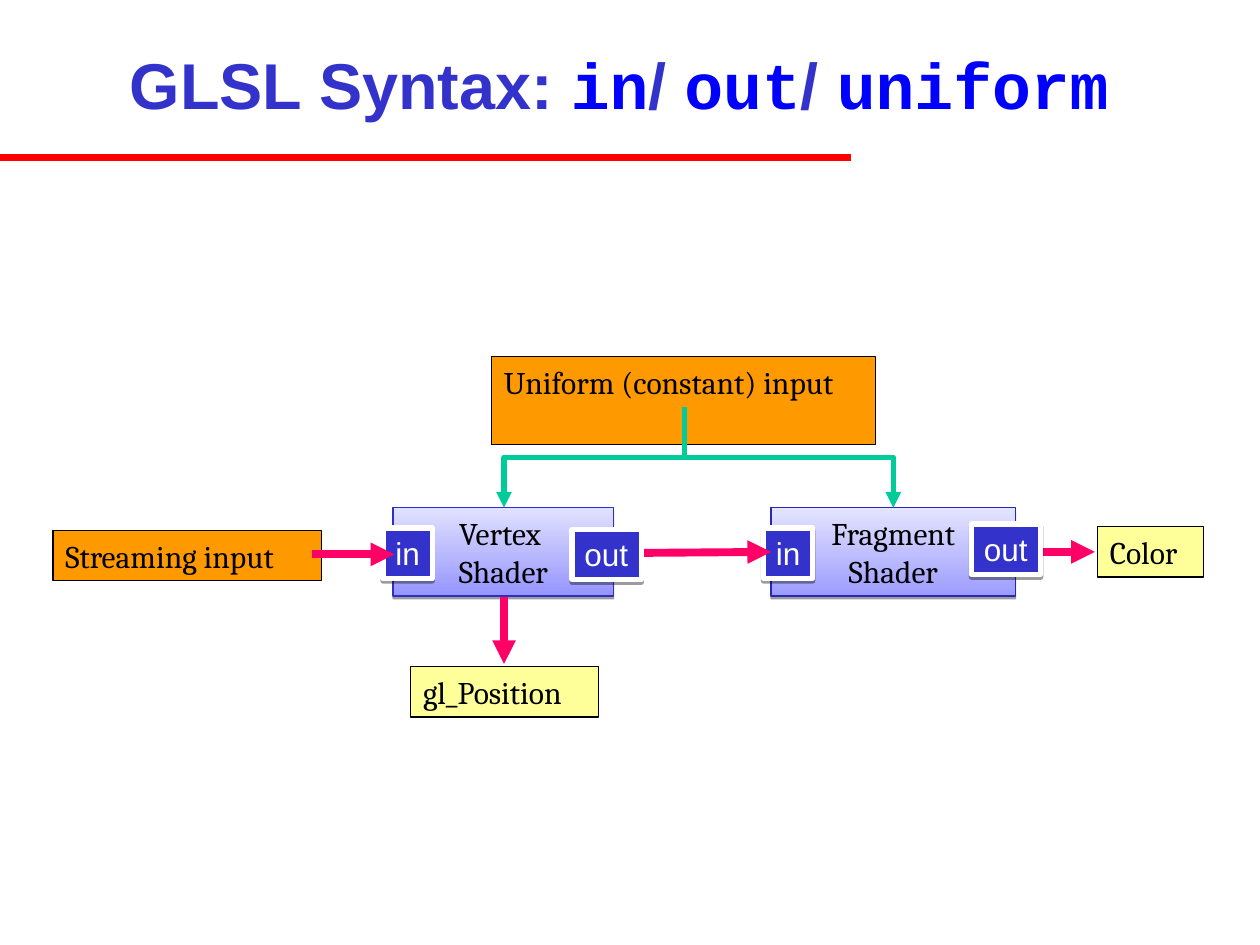
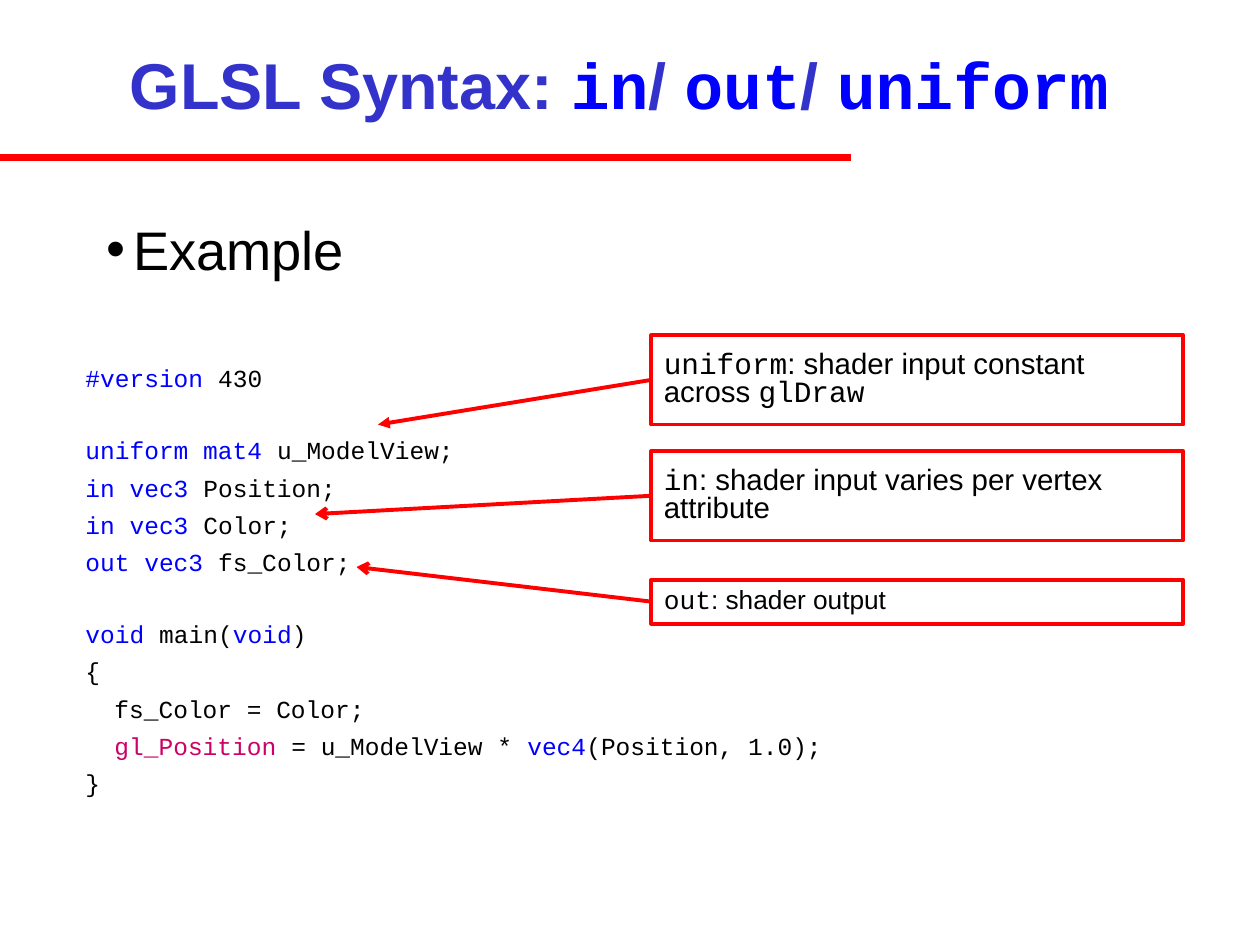
from typing import NamedTuple

from lxml.etree import SubElement
from pptx import Presentation
from pptx.dml.color import RGBColor
from pptx.enum.shapes import MSO_CONNECTOR, MSO_SHAPE
from pptx.enum.text import MSO_ANCHOR, PP_ALIGN
from pptx.oxml.ns import qn
from pptx.util import Inches, Pt

BLACK = RGBColor(0x00, 0x00, 0x00)
WHITE = RGBColor(0xFF, 0xFF, 0xFF)
RED = RGBColor(0xFF, 0x00, 0x00)
BLUE = RGBColor(0x00, 0x00, 0xFF)
INDIGO = RGBColor(0x33, 0x33, 0xCC)
ORANGE = RGBColor(0xFF, 0x99, 0x00)
YELLOW = RGBColor(0xFF, 0xFF, 0x99)
PINK = RGBColor(0xFF, 0x00, 0x66)
MAGENTA = RGBColor(0xCC, 0x00, 0x66)
GREEN = RGBColor(0x00, 0xCC, 0x99)

SANS = "Arial"
SERIF = "Cambria"
MONO = "Courier New"

CODE_SIZE = 14
CODE_GAP = 4.4
CODE_BLANK_LINE = 20.3


class Span(NamedTuple):
    text: str
    font: str = MONO
    color: RGBColor = BLACK


class Place(NamedTuple):
    left: float
    top: float
    width: float
    height: float


class Label(NamedTuple):
    text: str
    place: Place
    fill: RGBColor


class Stage(NamedTuple):
    lines: tuple
    place: Place
    bottom: RGBColor
    top: RGBColor
    edge: RGBColor


class Arrow(NamedTuple):
    start: tuple
    end: tuple
    color: RGBColor
    weight: float
    head: str = "triangle"


class CodeLine(NamedTuple):
    spans: tuple
    after_blank: bool = False
    indent: float = 0


class Callout(NamedTuple):
    spans: tuple
    top: float
    height: float
    size: float
    target: tuple
    head: str


TITLE = (
    Span("GLSL Syntax: ", SANS, INDIGO), Span("in", MONO, BLUE),
    Span("/ ", SANS, INDIGO), Span("out", MONO, BLUE),
    Span("/ ", SANS, INDIGO), Span("uniform", MONO, BLUE),
)

STAGES = (
    Stage(("Vertex ", "Shader"), Place(3.12, 4.03, 1.75, 0.7),
          RGBColor(0x95, 0x95, 0xFF), RGBColor(0xE1, 0xE1, 0xFF), RGBColor(0x2E, 0x2E, 0xCB)),
    Stage(("Fragment", "Shader"), Place(6.12, 4.03, 1.94, 0.7),
          RGBColor(0x9C, 0x9C, 0xFF), RGBColor(0xE4, 0xE4, 0xFF), RGBColor(0x28, 0x28, 0xB8)),
)

DATA_LABELS = (
    Label("Streaming input", Place(0.42, 4.21, 2.13, 0.4), ORANGE),
    Label("Color", Place(8.71, 4.18, 0.84, 0.4), YELLOW),
    Label("Uniform (constant) input", Place(3.9, 2.83, 3.05, 0.7), ORANGE),
    Label("gl_Position", Place(3.26, 5.29, 1.49, 0.4), YELLOW),
)

IN_PORTS = tuple(Label("in", Place(left, 4.19, 0.39, 0.4), INDIGO) for left in (3.04, 6.06))
OUT_PORTS = tuple(
    Label("out", Place(left, top, 0.55, 0.4), INDIGO) for left, top in ((4.54, 4.2), (7.71, 4.16))
)

FLOWS = tuple(
    Arrow(start, end, PINK, 4.5)
    for start, end in (
        ((2.48, 4.4), (3.13, 4.4)),
        ((4.87, 4.39), (6.12, 4.38)),
        ((8.04, 4.38), (8.69, 4.38)),
        ((4, 4.74), (4, 5.27)),
    )
)
UNIFORM_FLOWS = tuple(Arrow((5.43, 3.23), (x, 4.03), GREEN, 3) for x in (4, 7.09))


def keyword(text: str) -> Span:
    return Span(text, MONO, BLUE)


CODE = (
    CodeLine((keyword("#version"), Span(" 430"))),
    CodeLine((keyword("uniform mat4"), Span(" u_ModelView;")), after_blank=True),
    CodeLine((keyword("in vec3"), Span(" Position;"))),
    CodeLine((keyword("in vec3"), Span(" Color;"))),
    CodeLine((keyword("out vec3"), Span(" fs_Color;"))),
    CodeLine((keyword("void"), Span(" main("), keyword("void"), Span(")")), after_blank=True),
    CodeLine((Span("{"),)),
    CodeLine((Span("fs_Color = Color;"),), indent=0.23),
    CodeLine((Span("gl_Position", MONO, MAGENTA), Span(" = u_ModelView * "),
              keyword("vec4"), Span("(Position, 1.0);")), indent=0.23),
    CodeLine((Span("}"),)),
)

CALLOUTS = (
    Callout((Span("uniform"), Span(": shader input constant across ", SANS), Span("glDraw")),
            2.66, 0.71, 16.8, (3, 3.37), "triangle"),
    Callout((Span("in"), Span(": shader input varies per vertex attribute", SANS)),
            3.58, 0.71, 16.8, (2.5, 4.08), "arrow"),
    Callout((Span("out"), Span(": shader output", SANS)),
            4.6, 0.35, 15, (2.83, 4.5), "arrow"),
)


def inches(values: tuple) -> list:
    return [Inches(value) for value in values]


def add_spans(para, spans: tuple, size: float, bold: bool = False) -> None:
    for span in spans:
        run = para.add_run()
        run.text = span.text
        run.font.name = span.font
        run.font.size = Pt(size)
        run.font.bold = bold
        run.font.color.rgb = span.color


def add_text_box(page, place: Place):
    frame = page.shapes.add_textbox(*inches(place)).text_frame
    frame.word_wrap = True
    return frame


def add_box(page, place: Place, edge: RGBColor, weight: float):
    box = page.shapes.add_shape(MSO_SHAPE.RECTANGLE, *inches(place))
    box.shadow.inherit = False
    box.line.color.rgb = edge
    box.line.width = Pt(weight)
    box.text_frame.word_wrap = True
    box.text_frame.vertical_anchor = MSO_ANCHOR.TOP
    box.text_frame.paragraphs[0].alignment = PP_ALIGN.LEFT
    return box


def add_solid_box(page, place: Place, fill: RGBColor, edge: RGBColor, weight: float):
    box = add_box(page, place, edge, weight)
    box.fill.solid()
    box.fill.fore_color.rgb = fill
    return box


def drop_shadow(box) -> None:
    effects = box.element.spPr.find(qn("a:effectLst"))
    shadow = SubElement(effects, qn("a:outerShdw"), blurRad="0", dist=str(Pt(1.6)),
                        dir="5400000", rotWithShape="0")
    color = SubElement(shadow, qn("a:srgbClr"), val=str(BLACK))
    SubElement(color, qn("a:alpha"), val="38000")


def add_line(page, kind, start: tuple, end: tuple, color: RGBColor, weight: float):
    line = page.shapes.add_connector(kind, *inches(start), *inches(end))
    line.line.color.rgb = color
    line.line.width = Pt(weight)
    SubElement(line.element.spPr, qn("a:effectLst"))
    return line


def add_head(line, head: str) -> None:
    SubElement(line.line._get_or_add_ln(), qn("a:tailEnd"), type=head)


def add_arrow(page, arrow: Arrow) -> None:
    line = add_line(page, MSO_CONNECTOR.STRAIGHT, arrow.start, arrow.end, arrow.color, arrow.weight)
    add_head(line, arrow.head)


def add_elbow_down(page, arrow: Arrow) -> None:
    (x1, y1), (x2, y2) = arrow.start, arrow.end
    middle_x, middle_y = (x1 + x2) / 2, (y1 + y2) / 2
    half_run, half_drop = abs(x2 - x1) / 2, (y2 - y1) / 2
    side = 1 if x2 < x1 else -1
    start = (middle_x - side * half_drop, middle_y - half_run)
    end = (middle_x + side * half_drop, middle_y + half_run)
    line = add_line(page, MSO_CONNECTOR.ELBOW, start, end, arrow.color, arrow.weight)
    line.element.spPr.find(qn("a:xfrm")).set("rot", str(side * 90 % 360 * 60000))
    add_head(line, arrow.head)


def add_label(page, label: Label) -> None:
    box = add_solid_box(page, label.place, label.fill, BLACK, 0.75)
    box.text_frame.margin_right = 0
    add_spans(box.text_frame.paragraphs[0], (Span(label.text, SERIF),), 18)


def add_port(page, port: Label) -> None:
    box = add_solid_box(page, port.place, port.fill, WHITE, 3)
    box.text_frame.margin_right = 0
    drop_shadow(box)
    add_spans(box.text_frame.paragraphs[0], (Span(port.text, SANS, WHITE),), 18)


def add_stage(page, stage: Stage) -> None:
    box = add_box(page, stage.place, stage.edge, 0.75)
    box.fill.gradient()
    box.fill.gradient_angle = 90
    for stop, color, position in zip(box.fill.gradient_stops, (stage.bottom, stage.top), (0, 1)):
        stop.color.rgb = color
        stop.position = position
    drop_shadow(box)
    para = box.text_frame.paragraphs[0]
    para.alignment = PP_ALIGN.CENTER
    first, second = stage.lines
    add_spans(para, (Span(first, SERIF),), 18)
    para.add_line_break()
    add_spans(para, (Span(second, SERIF),), 18)


def add_callout(page, callout: Callout) -> None:
    left = 5.17
    place = Place(left, callout.top, 4.22, callout.height)
    box = add_solid_box(page, place, WHITE, RED, 2.25)
    box.text_frame.vertical_anchor = MSO_ANCHOR.MIDDLE
    para = box.text_frame.paragraphs[0]
    para.line_spacing = 0.8
    add_spans(para, callout.spans, callout.size)
    start = (left, callout.top + callout.height / 2)
    add_arrow(page, Arrow(start, callout.target, RED, 2.25, callout.head))


def add_bullet(page, text: str) -> None:
    para = add_text_box(page, Place(0.75, 1.67, 8.5, 5.17)).paragraphs[0]
    para.space_before = Pt(7.7)
    add_spans(para, (Span(text, SANS),), 31)
    properties = para._p.get_or_add_pPr()
    properties.set("marL", str(Inches(0.21)))
    properties.set("indent", str(Inches(-0.21)))
    SubElement(properties, qn("a:buFont"), typeface=SANS)
    SubElement(properties, qn("a:buChar"), char="•")


def add_code(page) -> None:
    frame = add_text_box(page, Place(0.58, 2.83, 9.25, 4.25))
    for number, line in enumerate(CODE):
        para = frame.add_paragraph() if number else frame.paragraphs[0]
        para.space_before = Pt(CODE_GAP + CODE_BLANK_LINE * line.after_blank)
        para._p.get_or_add_pPr().set("marL", str(Inches(line.indent)))
        add_spans(para, line.spans, CODE_SIZE)


def add_page(deck):
    page = deck.slides.add_slide(deck.slide_layouts[6])
    add_line(page, MSO_CONNECTOR.STRAIGHT, (0, 1.25), (6.75, 1.25), RED, 4)
    frame = add_text_box(page, Place(0, 0.08, 9.83, 1.17))
    frame.vertical_anchor = MSO_ANCHOR.MIDDLE
    frame.paragraphs[0].alignment = PP_ALIGN.CENTER
    add_spans(frame.paragraphs[0], TITLE, 37, bold=True)
    return page


def build_pipeline(deck) -> None:
    page = add_page(deck)
    for draw, items in (
        (add_stage, STAGES), (add_label, DATA_LABELS), (add_elbow_down, UNIFORM_FLOWS),
        (add_port, IN_PORTS), (add_arrow, FLOWS), (add_port, OUT_PORTS),
    ):
        for item in items:
            draw(page, item)


def build_example(deck) -> None:
    page = add_page(deck)
    add_bullet(page, "Example")
    add_code(page)
    for callout in CALLOUTS:
        add_callout(page, callout)


def main() -> None:
    deck = Presentation()
    deck.slide_width, deck.slide_height = Inches(10), Inches(7.5)
    build_pipeline(deck)
    build_example(deck)
    deck.save("out.pptx")


if __name__ == "__main__":
    main()
